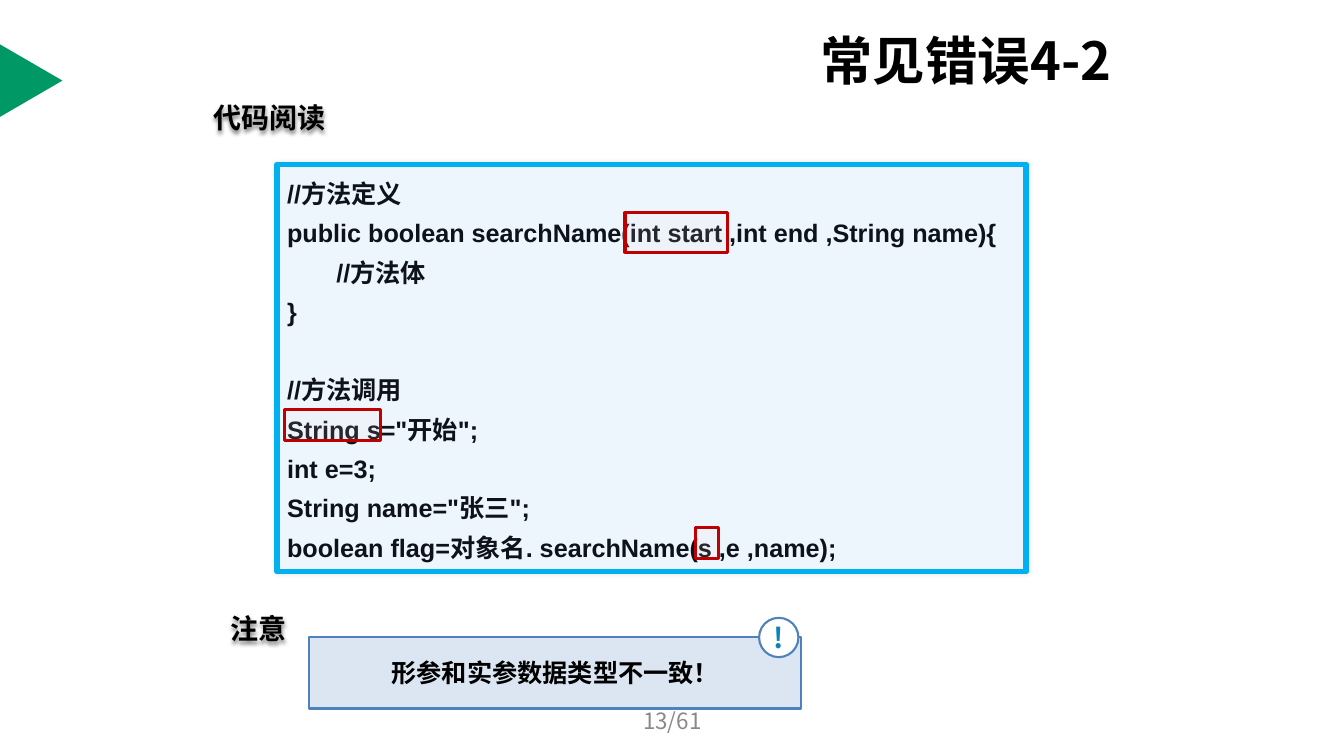
from lxml import etree
from pptx import Presentation
from pptx.dml.color import RGBColor
from pptx.enum import shapes, text
from pptx.oxml import ns
from pptx.util import Pt

HUES = {
    "ink": "000000", "code": "0D121B", "page": "898989", "mark": "C00000",
    "tint": "FFDDDD", "panel": "EDF5FD", "edge": "00B0F0", "note": "DCE6F2",
    "rim": "4F81BD", "alert": "0C83B8", "white": "FFFFFF", "green": "009966",
}
SANS = "Noto Sans CJK SC"
FORM = shapes.MSO_SHAPE
SIDE = text.PP_ALIGN
HOLD = text.MSO_ANCHOR
CODE = [
    "//方法定义",
    "public boolean searchName(int start ,int end ,String name){",
    "\t//方法体",
    "}",
    "//方法调用",
    'String s="开始";',
    "int e=3;",
    'String name="张三";',
    "boolean flag=对象名. searchName(s ,e ,name);",
]


def hue(name):
    """Return the named colour."""
    return RGBColor.from_string(HUES[name])


def child(node, tag, **attrs):
    """Append a DrawingML element and return it."""
    return etree.SubElement(node, ns.qn("a:" + tag), attrs)


def shade(shape, blur, dist, alpha):
    """Give a shape a soft shadow below it."""
    shape.shadow.inherit = False
    list_ = shape._element.spPr.find(ns.qn("a:effectLst"))
    cast = child(list_, "outerShdw", blurRad=str(Pt(blur)), dist=str(Pt(dist)),
                 dir="5400000", algn="ctr", rotWithShape="0")
    tone = child(cast, "srgbClr", val=HUES["ink"])
    child(tone, "alpha", val=str(alpha * 1000))


def write(shape, lines, size, color="ink", font=SANS, bold=True,
          align=SIDE.LEFT, anchor=HOLD.MIDDLE, wrap=True, space=None, tab=None, gaps=()):
    """Fill a shape with formatted lines; gaps lists lines set apart by a row."""
    frame = shape.text_frame
    frame.auto_size = text.MSO_AUTO_SIZE.NONE
    frame.word_wrap = wrap
    frame.vertical_anchor = anchor
    for i, line in enumerate(lines):
        para = frame.paragraphs[0] if i == 0 else frame.add_paragraph()
        para.alignment = align
        if space:
            para.line_spacing = space
        if i in gaps:
            para.space_before = Pt(28)
        if tab:
            stops = child(para._p.get_or_add_pPr(), "tabLst")
            child(stops, "tab", pos=str(Pt(tab)), algn="l")
        run = para.add_run()
        run.text = line
        run.font.size = Pt(size)
        run.font.bold = bold
        run.font.color.rgb = hue(color)
        run.font.name = font
        child(run._r.get_or_add_rPr(), "ea", typeface=SANS)


def draw(slide, form, box, fill, line=None, width=1.5, alpha=None):
    """Add a preset shape with plain fill and line."""
    shape = slide.shapes.add_shape(form, *map(Pt, box))
    shape.shadow.inherit = False
    shape.fill.solid()
    shape.fill.fore_color.rgb = hue(fill)
    if alpha:
        tone = shape._element.spPr.find(ns.qn("a:solidFill"))[0]
        child(tone, "alpha", val=str(alpha * 1000))
    if line:
        shape.line.color.rgb = hue(line)
        shape.line.width = Pt(width)
    else:
        shape.line.fill.background()
    return shape


def label(slide, box, line, size, **form):
    """Add a text box with one line."""
    shape = slide.shapes.add_textbox(*map(Pt, box))
    write(shape, [line], size, **form)
    return shape


def head(slide, box):
    """Place the title and the arrow on the left edge."""
    title = slide.shapes.title
    title.left, title.top, title.width, title.height = map(Pt, box)
    write(title, ["常见错误4-2"], 37.4)
    arrow = draw(slide, FORM.ISOSCELES_TRIANGLE, (-3.6, 35.3, 51.8, 44.6), "green")
    arrow.rotation = 90


def topic(slide, box, line):
    """Place a section heading with a soft shadow."""
    shade(label(slide, box, line, 20, wrap=False), 3, 2, 50)


def listing(slide, box):
    """Place the code panel and the frames around the mismatched parts."""
    panel = draw(slide, FORM.RECTANGLE, box, "panel", "edge", 4)
    shade(panel, 3, 0, 10)
    write(panel, CODE, 18, color="code", font="Arial", anchor=HOLD.TOP,
          space=1.3, tab=35.3, gaps=(4,))
    left, top = box[:2]
    for x, y, wide, high in ((298.8, 259.2, 16.6, 22.3),
                             (5, 175, 69, 22.3),
                             (248.4, 34.6, 73.4, 28.1)):
        draw(slide, FORM.RECTANGLE, (left + x, top + y, wide, high),
             "tint", "mark", 2.25, alpha=10)


def notice(slide, box):
    """Place the warning bar and its round badge."""
    bar = draw(slide, FORM.RECTANGLE, box, "note", "rim")
    write(bar, ["形参和实参数据类型不一致！"], 18, align=SIDE.CENTER)
    left, top, wide, _ = box
    badge = draw(slide, FORM.OVAL, (left + wide - 30.2, top - 13.7, 28.1, 28.1),
                 "white", "rim")
    write(badge, ["!"], 20, color="alert", align=SIDE.CENTER, wrap=False)


def main():
    """Build the slide and save it."""
    deck = Presentation()
    deck.slide_width, deck.slide_height = Pt(960), Pt(540)
    slide = deck.slides.add_slide(deck.slide_layouts[5])
    head(slide, (578.9, 22.3, 247, 41))
    listing(slide, (198, 117.4, 535, 290.9))
    topic(slide, (145.4, 67.7, 95.8, 31.7), "代码阅读")
    topic(slide, (157.7, 433, 55.4, 31.7), "注意")
    notice(slide, (221, 455, 351.4, 51.1))
    label(slide, (328.3, 500.4, 303.8, 28.8), "13/61", 16,
          color="page", bold=False, align=SIDE.CENTER)
    deck.save("out.pptx")


if __name__ == "__main__":
    main()
